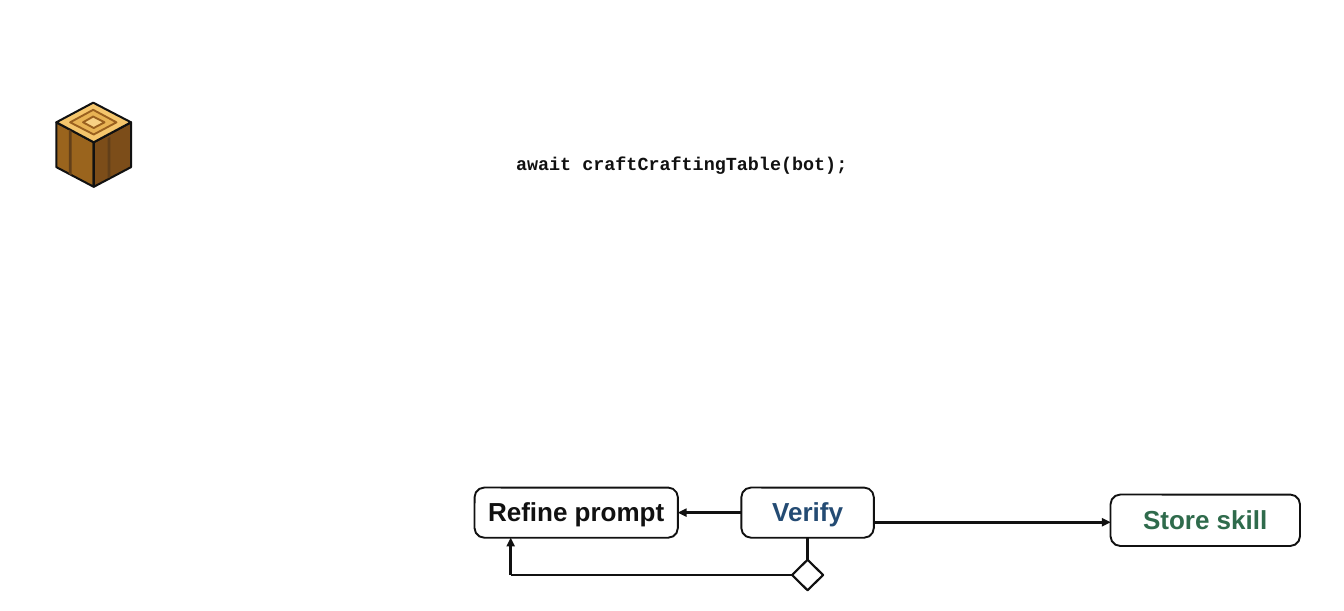
"""Build the skill verification slide: a wood block, a code call and a flow."""
import pptx
import pptx.dml.color
import pptx.enum.shapes
import pptx.enum.text
import pptx.util
from lxml import etree

Pt = pptx.util.Pt
SHAPES = pptx.enum.shapes.MSO_SHAPE
ALIGN = pptx.enum.text.PP_ALIGN
ANCHOR = pptx.enum.text.MSO_ANCHOR

SLIDE_SIZE = (1395, 633.75)
CODE_CALL = ("await craftCraftingTable(bot);", (535.7, 157.7, 345.6, 23.8))
STEPS = {
    "refine": ("Refine prompt", (492.6, 505.75, 211, 52)),
    "store": ("Store skill", (1152.75, 513, 196.6, 53.3)),
    "verify": ("Verify", (769.5, 505.75, 137.5, 52)),
}
DECISION = (32.2, 31.7)
DECISION_DROP = 38.7
RETURN_INSET = 37.5
STORE_ARROW_Y = 541.75

LEFT, MIDDLE, RIGHT = 58.5, 97.3, 136
RIM, FRONT, LOW, BOTTOM = 126.9, 147.6, 173.4, 193.8
WOOD_BLOCK = [
    ("bark_left", "edge", [(LEFT, RIM), (MIDDLE, FRONT), (MIDDLE, BOTTOM), (LEFT, LOW)]),
    ("bark_right", "edge", [(MIDDLE, FRONT), (RIGHT, RIM), (RIGHT, LOW), (MIDDLE, BOTTOM)]),
    ("top", "edge", [(LEFT, RIM), (96.75, 106.5), (RIGHT, RIM), (MIDDLE, FRONT)]),
    ("outer_ring", "ring", [(72.8, RIM), (96.75, 113.9), (120.9, RIM), (MIDDLE, 139.5)]),
    ("inner_ring", "ring", [(86.2, RIM), (96.75, 120.9), (108.5, RIM), (MIDDLE, 132.8)]),
    ("groove", None, [(71.5, 134.2), (71.5, 180.3), (74.4, 181.8), (74.4, 136.5)]),
    ("groove", None, [(111.8, 143.5), (111.8, 185.2), (114.7, 183.7), (114.7, 141.9)]),
]

THEME = {
    "colors": {
        "ink": "111111", "paper": "FFFFFF", "refine": "111111",
        "verify": "244B73", "store": "2F6B4C", "ring": "99601F",
        "bark_left": "9A641D", "bark_right": "7C4D19", "top": "F5C66C",
        "outer_ring": "E8B354", "inner_ring": "F8D184", "groove": "623F19",
    },
    "lines": {
        "edge": ("ink", 2.1), "ring": ("ring", 1.95), "box": ("ink", 1.95),
        "decision": ("ink", 2.25), "arrow": ("ink", 3),
    },
    "fonts": {
        "code": {"name": "Courier New", "size": Pt(19.1), "bold": True},
        "step": {"name": "Arial", "size": Pt(27), "bold": True},
    },
    "step_spacing": 29.7,
    "corner": 10,
}
CODE_FRAME = {"word_wrap": False, "margin_left": 0, "margin_right": 0,
              "margin_top": 0, "margin_bottom": 0}
STEP_FRAME = {**CODE_FRAME, "word_wrap": True, "margin_left": Pt(2.9),
              "margin_right": Pt(2.9), "vertical_anchor": ANCHOR.MIDDLE}
STEP_PARAGRAPH = {"alignment": ALIGN.CENTER, "line_spacing": Pt(THEME["step_spacing"])}


def points(values):
    return [Pt(value) for value in values]


def color(role):
    return pptx.dml.color.RGBColor.from_string(THEME["colors"][role])


def apply(target, formats):
    for attribute, value in formats.items():
        setattr(target, attribute, value)


def stroke(line, style):
    role, width = THEME["lines"][style]
    line.color.rgb = color(role)
    line.width = Pt(width)


def paint(shape, fill, style):
    shape.shadow.inherit = False
    shape.fill.solid()
    shape.fill.fore_color.rgb = color(fill)
    if style:
        stroke(shape.line, style)
    else:
        shape.line.fill.background()


def write(frame, text, font, ink, frame_formats, paragraph_formats):
    apply(frame, frame_formats)
    paragraph = frame.paragraphs[0]
    apply(paragraph, paragraph_formats)
    run = paragraph.add_run()
    run.text = text
    apply(run.font, THEME["fonts"][font])
    run.font.color.rgb = color(ink)


def add_face(shapes, fill, style, corners):
    start, *others = [points(corner) for corner in corners]
    builder = shapes.build_freeform(*start, scale=1.0)
    builder.add_line_segments(others, close=True)
    paint(builder.convert_to_shape(), fill, style)


def add_step(shapes, step):
    label, place = STEPS[step]
    box = shapes.add_shape(SHAPES.ROUNDED_RECTANGLE, *points(place))
    box.adjustments[0] = THEME["corner"] / place[3]
    paint(box, "paper", "box")
    write(box.text_frame, label, "step", step, STEP_FRAME, STEP_PARAGRAPH)


def add_route(shapes, stops):
    for start, end in zip(stops, stops[1:]):
        segment = shapes.add_connector(
            pptx.enum.shapes.MSO_CONNECTOR.STRAIGHT, *points(start + end))
        stroke(segment.line, "arrow")
        properties = segment._element.spPr
        namespace = "{" + properties.nsmap["a"] + "}"
        etree.SubElement(properties, namespace + "effectLst")
        if end == stops[-1]:
            line = properties.find(namespace + "ln")
            etree.SubElement(line, namespace + "tailEnd", type="triangle")


def main():
    deck = pptx.Presentation()
    deck.slide_width, deck.slide_height = points(SLIDE_SIZE)
    shapes = deck.slides.add_slide(deck.slide_layouts[6]).shapes

    block = shapes.add_group_shape()
    for fill, style, corners in WOOD_BLOCK:
        add_face(block.shapes, fill, style, corners)

    call, call_place = CODE_CALL
    code = shapes.add_textbox(*points(call_place))
    write(code.text_frame, call, "code", "ink", CODE_FRAME, {})

    add_step(shapes, "refine")
    add_step(shapes, "store")

    refine_left, refine_top, refine_width, refine_height = STEPS["refine"][1]
    verify_left, verify_top, verify_width, verify_height = STEPS["verify"][1]
    store_left = STEPS["store"][1][0]
    refine_bottom = refine_top + refine_height
    verify_bottom = verify_top + verify_height
    verify_middle = verify_top + verify_height / 2
    decision_x = verify_left + verify_width / 2
    decision_y = verify_bottom + DECISION_DROP
    return_x = refine_left + RETURN_INSET

    add_route(shapes, [(verify_left, verify_middle),
                       (refine_left + refine_width, verify_middle)])
    add_route(shapes, [(verify_left + verify_width, STORE_ARROW_Y),
                       (store_left, STORE_ARROW_Y)])
    add_route(shapes, [(decision_x, verify_bottom), (decision_x, decision_y),
                       (return_x, decision_y), (return_x, refine_bottom)])

    add_step(shapes, "verify")
    width, height = DECISION
    decision = shapes.add_shape(SHAPES.DIAMOND, *points(
        (decision_x - width / 2, decision_y - height / 2, width, height)))
    paint(decision, "paper", "decision")
    deck.save("out.pptx")


if __name__ == "__main__":
    main()
